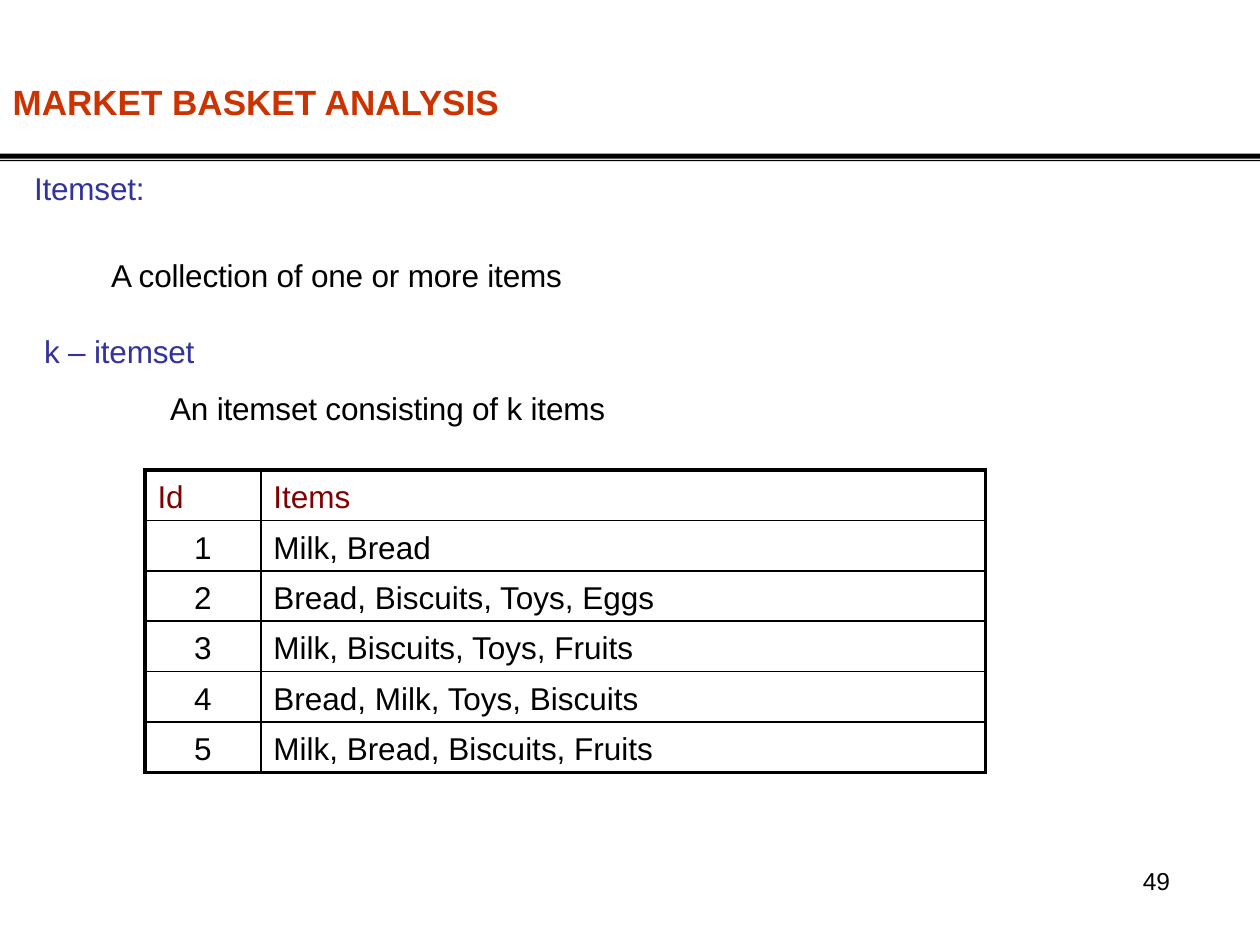
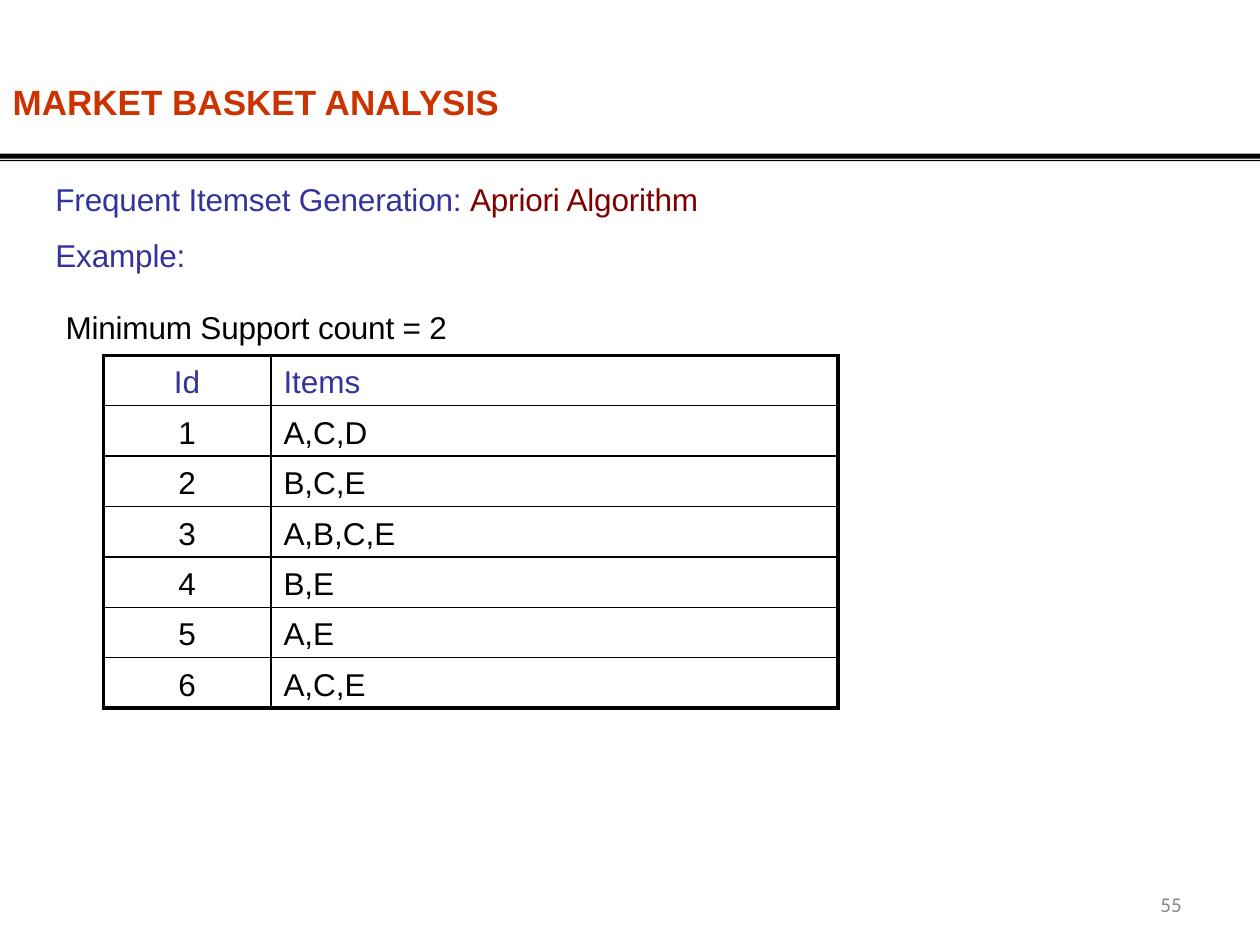
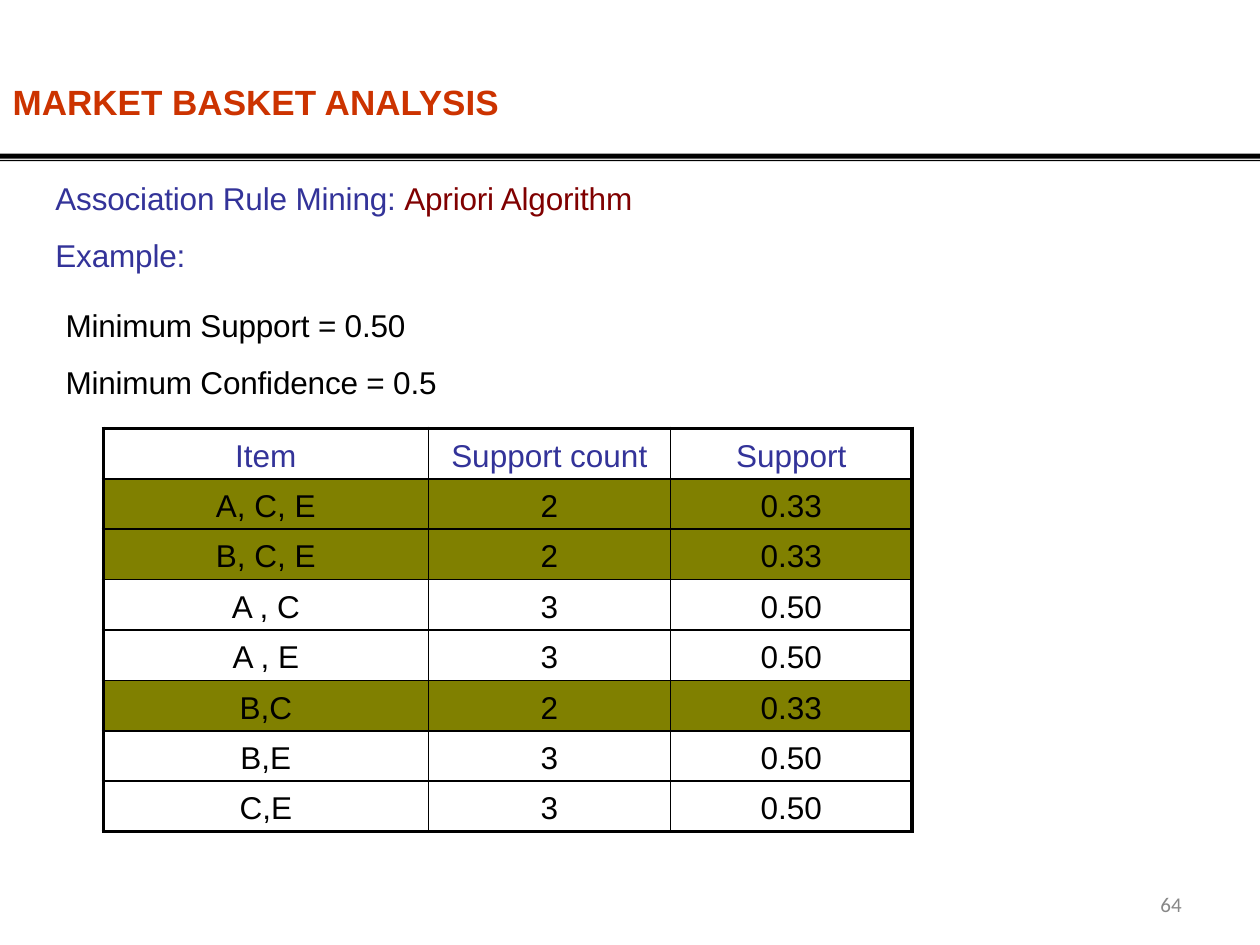
from lxml import etree
from pptx import Presentation
from pptx import util as u
from pptx.dml.color import RGBColor
from pptx.enum import text as t
from pptx.oxml import ns

BLACK = RGBColor(0x00, 0x00, 0x00)
ORANGE = RGBColor(0xCC, 0x33, 0x00)
BLUE = RGBColor(0x33, 0x33, 0x99)
MAROON = RGBColor(0x80, 0x00, 0x00)
OLIVE = RGBColor(0x80, 0x80, 0x00)
GRAY = RGBColor(0x88, 0x88, 0x88)

FONT = "Arial"
TITLE = "MARKET BASKET ANALYSIS"
BODY_SIZE = 18
LEFT, CENTER = t.PP_ALIGN.LEFT, t.PP_ALIGN.CENTER
ROW_HEIGHT = 0.4
OUTER_LINE, INNER_LINE = 2.25, 1
RULE_BANDS = [(1.22, 1.26), (1.27, 1.28)]


# Text
def add_span(para, words, color, size=BODY_SIZE, font=FONT, bold=False, tracking=0):
    span = para.add_run()
    span.text = words
    span.font.name = font
    span.font.size = u.Pt(size)
    span.font.bold = bold
    span.font.color.rgb = color
    if tracking:
        span.font._element.set("spc", str(round(tracking * 100)))


def set_margins(target, left=0, top=0):
    target.margin_left, target.margin_top = u.Inches(left), u.Inches(top)
    target.margin_right = target.margin_bottom = 0


def add_frame(page, left, top, width, height, top_margin=0):
    frame = page.shapes.add_textbox(
        u.Inches(left), u.Inches(top), u.Inches(width), u.Inches(height)).text_frame
    frame.word_wrap = True
    set_margins(frame, top=top_margin)
    return frame


def indent(para, inches):
    para._p.get_or_add_pPr().set("marL", str(u.Inches(inches)))


def add_title_and_body(page, width, height, lines):
    """Each line is (spans, indent, space before, alignment)."""
    frame = add_frame(page, 0.09, 0.61, width, height, top_margin=0.03)
    title = frame.paragraphs[0]
    indent(title, 0.01)
    add_span(title, TITLE, ORANGE, size=20, bold=True)
    for spans, left, gap, align in lines:
        para = frame.add_paragraph()
        indent(para, left)
        para.space_before = u.Pt(gap)
        para.alignment = align
        for words, color in spans:
            add_span(para, words, color, tracking=-0.1)


def add_page_number(page, number, left=9.17, top=7.05, width=0.27, height=0.22,
                    size=12, font="Calibri", color=GRAY):
    para = add_frame(page, left, top, width, height).paragraphs[0]
    indent(para, 0.04)
    para.line_spacing = u.Pt(16.5)
    add_span(para, str(number), color, size=size, font=font)


# Double rule under the title
def add_double_rule(page, width=10):
    builder = None
    for top, bottom in RULE_BANDS:
        corners = [(u.Inches(x), u.Inches(y)) for x, y in
                   [(0, top), (width, top), (width, bottom), (0, bottom)]]
        if builder is None:
            builder = page.shapes.build_freeform(*corners[0])
        else:
            builder.move_to(*corners[0])
        builder.add_line_segments(corners[1:], close=True)
    rule = builder.convert_to_shape()
    rule.shadow.inherit = False
    rule.fill.solid()
    rule.fill.fore_color.rgb = BLACK
    rule.line.fill.background()


# Table
def set_borders(cell, widths):
    props = cell._tc.get_or_add_tcPr()
    for position, (side, points) in enumerate(widths.items()):
        line = etree.Element(ns.qn(f"a:ln{side}"), w=str(u.Pt(points)))
        fill = etree.SubElement(line, ns.qn("a:solidFill"))
        etree.SubElement(fill, ns.qn("a:srgbClr"), val=str(BLACK))
        props.insert(position, line)


def fill_cell(cell, words, color, align, shade):
    set_margins(cell, left=0.1 if align == LEFT else 0, top=0.08)
    cell.vertical_anchor = t.MSO_ANCHOR.TOP
    para = cell.text_frame.paragraphs[0]
    para.alignment = align
    add_span(para, words, color)
    if shade:
        cell.fill.solid()
        cell.fill.fore_color.rgb = shade
    else:
        cell.fill.background()


def add_grid(page, left, top, widths, rows, head_color, aligns,
             head_aligns=None, shaded=()):
    last_row, last_col = len(rows) - 1, len(widths) - 1
    grid = page.shapes.add_table(
        len(rows), len(widths), u.Inches(left), u.Inches(top),
        u.Inches(sum(widths)), u.Inches(ROW_HEIGHT * len(rows))).table
    grid.first_row = grid.horz_banding = False
    for column, width in zip(grid.columns, widths):
        column.width = u.Inches(width)
    for r, row in enumerate(rows):
        grid.rows[r].height = u.Inches(ROW_HEIGHT)
        row_aligns = head_aligns if r == 0 and head_aligns else aligns
        for c, words in enumerate(row):
            cell = grid.cell(r, c)
            fill_cell(cell, words, BLACK if r else head_color, row_aligns[c],
                      OLIVE if r in shaded else None)
            edges = {"L": c == 0, "R": c == last_col, "T": r == 0, "B": r == last_row}
            set_borders(cell, {side: OUTER_LINE if outer else INNER_LINE
                               for side, outer in edges.items()})


# Slides
def add_page(deck):
    page = deck.slides.add_slide(deck.slide_layouts[6])
    add_double_rule(page)
    return page


def apriori_heading(topic):
    return [
        ([(topic + ": ", BLUE), ("Apriori Algorithm", MAROON)], 0.35, 32.5, LEFT),
        ([("Example:", BLUE)], 0.35, 10.8, LEFT),
    ]


def build_itemset_page(deck):
    page = add_page(deck)
    add_page_number(page, 49, 9.03, 6.88, 0.41, 0.25, size=14, font=FONT, color=BLACK)
    add_title_and_body(page, 4.78, 2.7, [
        ([("Itemset:", BLUE)], 0.18, 26.5, LEFT),
        ([("A collection of one or more items", BLACK)], 0.38, 28, CENTER),
        ([("k – itemset", BLUE)], 0.26, 22, LEFT),
        ([("An itemset consisting of k items", BLACK)], 1.26, 10.8, LEFT),
    ])
    baskets = ["Milk, Bread", "Bread, Biscuits, Toys, Eggs",
               "Milk, Biscuits, Toys, Fruits", "Bread, Milk, Toys, Biscuits",
               "Milk, Bread, Biscuits, Fruits"]
    rows = [("Id", "Items")] + [(str(n), items) for n, items in enumerate(baskets, 1)]
    add_grid(page, 1.15, 3.73, [0.92, 5.75], rows, MAROON,
             [CENTER, LEFT], head_aligns=[LEFT, LEFT])


def build_generation_page(deck):
    page = add_page(deck)
    add_page_number(page, 55)
    add_title_and_body(page, 5.51, 2.08, apriori_heading("Frequent Itemset Generation") + [
        ([("Minimum Support count = 2", BLACK)], 0.43, 19.5, LEFT),
    ])
    baskets = ["A,C,D", "B,C,E", "A,B,C,E", "B,E", "A,E", "A,C,E"]
    rows = [("Id", "Items")] + [(str(n), items) for n, items in enumerate(baskets, 1)]
    add_grid(page, 0.82, 2.82, [1.33, 4.5], rows, BLUE, [CENTER, LEFT])


def build_rule_mining_page(deck):
    page = add_page(deck)
    add_page_number(page, 64)
    add_title_and_body(page, 4.99, 2.53, apriori_heading("Association Rule Mining") + [
        ([("Minimum Support = 0.50", BLACK)], 0.43, 18.5, LEFT),
        ([("Minimum Confidence = 0.5", BLACK)], 0.43, 10.8, LEFT),
    ])
    rows = [
        ("Item", "Support count", "Support"),
        ("A, C, E", "2", "0.33"),
        ("B, C, E", "2", "0.33"),
        ("A , C", "3", "0.50"),
        ("A , E", "3", "0.50"),
        ("B,C", "2", "0.33"),
        ("B,E", "3", "0.50"),
        ("C,E", "3", "0.50"),
    ]
    below_minimum = [r for r, row in enumerate(rows) if row[2] == "0.33"]
    add_grid(page, 0.82, 3.4, [2.58, 1.92, 1.92], rows, BLUE,
             [CENTER] * 3, shaded=below_minimum)


def main():
    deck = Presentation()
    deck.slide_width, deck.slide_height = u.Inches(10), u.Inches(7.5)
    build_itemset_page(deck)
    build_generation_page(deck)
    build_rule_mining_page(deck)
    deck.save("out.pptx")


if __name__ == "__main__":
    main()
